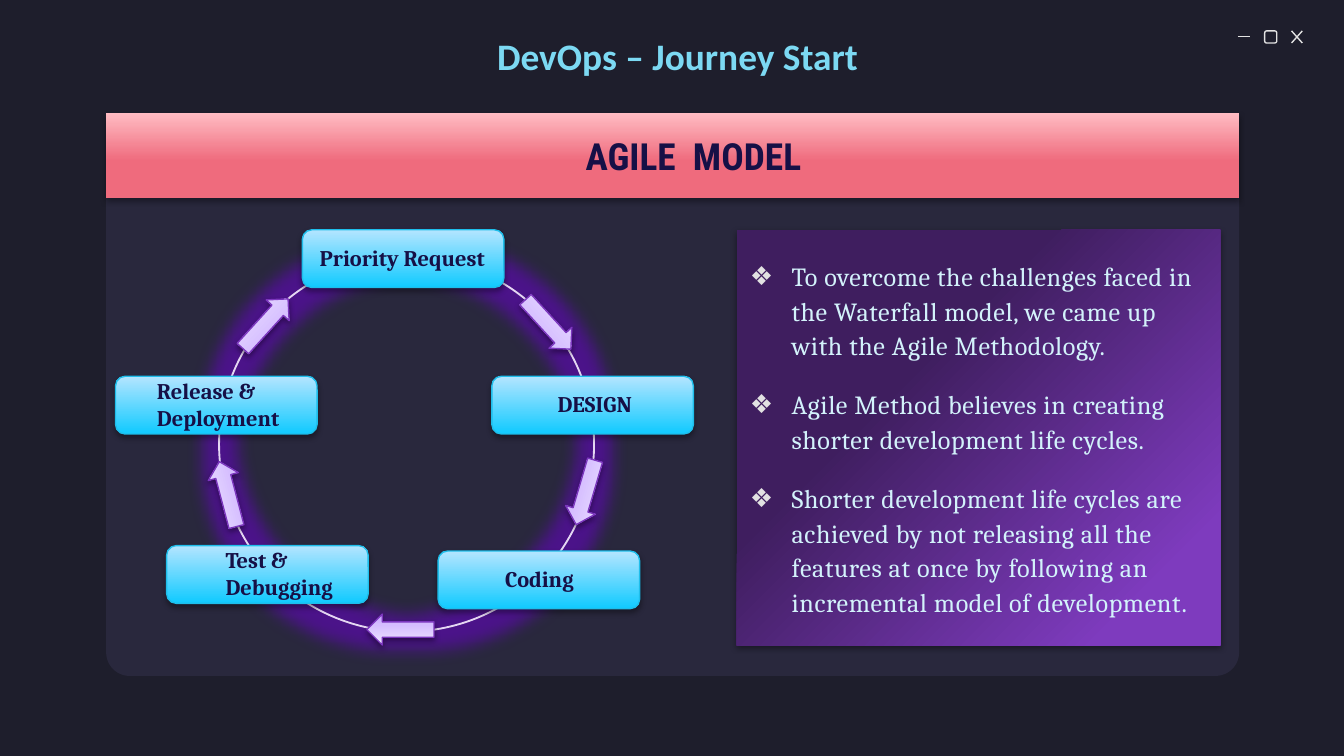
from math import cos, radians, sin

from lxml.etree import SubElement
from pptx import Presentation
from pptx.dml.color import RGBColor
from pptx.enum.shapes import MSO_CONNECTOR, MSO_SHAPE as SHAPE
from pptx.enum.text import MSO_ANCHOR, MSO_AUTO_SIZE, PP_ALIGN
from pptx.oxml import parse_xml
from pptx.oxml.ns import nsdecls, qn
from pptx.util import Inches, Pt

BACKGROUND = RGBColor(0x1E, 0x1E, 0x2C)
PANEL = RGBColor(0x29, 0x28, 0x3D)
GREY = RGBColor(0xE2, 0xE2, 0xE2)
NAVY = RGBColor(0x16, 0x10, 0x46)
SKY = RGBColor(0x7C, 0xD9, 0xF3)
ICE = RGBColor(0xD3, 0xF2, 0xFB)
RING = RGBColor(0xE5, 0xD7, 0xF3)
GLOW = RGBColor(0x4F, 0x11, 0x92)
NODE_EDGE = RGBColor(0x1E, 0xBE, 0xEB)
ARROW_EDGE = RGBColor(0x7B, 0x36, 0xBD)
BLACK = RGBColor(0, 0, 0)

# Gradient stops: (percent, colour)
BANNER_STOPS = [(43, RGBColor(0xEF, 0x6B, 0x7D)), (100, RGBColor(0xFF, 0xBC, 0xC3))]
BODY_STOPS = [(14, RGBColor(0x7E, 0x3B, 0xBE)), (65, RGBColor(0x3F, 0x1E, 0x5F))]
NODE_STOPS = [(0, RGBColor(0x10, 0xCA, 0xFF)), (100, RGBColor(0xB4, 0xE5, 0xFF))]
ARROW_STOPS = [(0, RGBColor(0xC4, 0xA2, 0xFF)), (35, RGBColor(0xD5, 0xBD, 0xFF)),
               (100, RGBColor(0xEF, 0xE6, 0xFF))]
UPWARD = '<a:lin ang="16200000" scaled="0"/>'
FROM_CORNER = '<a:path path="circle"><a:fillToRect l="100000" t="100000"/></a:path>'

# Content
HEADING = "DevOps – Journey Start"
BANNER = "AGILE  MODEL"
POINTS = [
    "To overcome the challenges faced in the Waterfall model, we came up with the Agile Methodology.",
    "Agile Method believes in creating shorter development life cycles.",
    "Shorter development life cycles are achieved by not releasing all the features "
    "at once by following an incremental model of development.",
]
# Phase, node left and top, label left and width
PHASES = [
    ("Priority Request", 2.25, 1.71, 2.28, 1.52),
    ("DESIGN", 3.66, 2.8, 4.05, 1.22),
    ("Coding", 3.26, 4.1, 3.66, 1.15),
    ("Test & Debugging", 1.24, 4.06, 1.58, 1.15),
    ("Release & Deployment", 0.86, 2.8, 1.07, 1.53),
]
# Arrow place on the ring and heading, in degrees clockwise from the top
ARROWS = [(49.8, 47.5), (105.1, 106.4), (181.9, 180), (254.4, 255.2), (310.5, 312.2)]

# Layout in inches
PANEL_X, PANEL_W = 0.79, 8.43
RING_X, RING_Y, RING_D = 1.63, 1.91, 2.79
NODE_W, NODE_H, LABEL_H = 1.5, 0.43, 0.68
ARROW_W, ARROW_H, ARROW_R = 0.5, 0.23, 1.38


def gradient(sp, stops, direction):
    sp.fill.solid()
    solid = sp._element.spPr.find(qn("a:solidFill"))
    gs = "".join(f'<a:gs pos="{pos * 1000}"><a:srgbClr val="{color}"/></a:gs>'
                 for pos, color in stops)
    solid.getparent().replace(solid, parse_xml(
        f'<a:gradFill {nsdecls("a")} rotWithShape="1"><a:gsLst>{gs}</a:gsLst>{direction}</a:gradFill>'))


def effect(sp, kind, color, alpha, **attrs):
    sp.shadow.inherit = False
    lst = sp._element.spPr.find(qn("a:effectLst"))
    node = SubElement(lst, qn(f"a:{kind}"), {k: str(v) for k, v in attrs.items()})
    clr = SubElement(node, qn("a:srgbClr"), val=str(color))
    SubElement(clr, qn("a:alpha"), val=str(alpha * 1000))


def drop_shadow(sp, alpha, dist):
    effect(sp, "outerShdw", BLACK, alpha, blurRad=Pt(3.1), dist=Pt(dist),
           dir=90 * 60000, rotWithShape=0)


def place(sp, x, y, w, h):
    sp.left, sp.top, sp.width, sp.height = (Inches(v) for v in (x, y, w, h))


def add_shape(shapes, kind, x, y, w, h, edge=None, weight=0.75):
    sp = shapes.add_shape(kind, *(Inches(v) for v in (x, y, w, h)))
    sp.fill.background()
    if edge is None:
        sp.line.fill.background()
    else:
        sp.line.color.rgb = edge
        sp.line.width = Pt(weight)
    sp.shadow.inherit = False
    return sp


def frame(sp):
    tf = sp.text_frame
    tf.word_wrap = True
    tf.auto_size = MSO_AUTO_SIZE.NONE
    tf.vertical_anchor = MSO_ANCHOR.MIDDLE
    tf.margin_left = tf.margin_right = tf.margin_top = tf.margin_bottom = Inches(0.1)
    return tf


def style(p, font, size, color, bold):
    for r in p.runs:
        r.font.name, r.font.size, r.font.bold = font, Pt(size), bold
        r.font.color.rgb = color


def add_label(shapes, text, box, font, size, color):
    sp = shapes.add_textbox(*(Inches(v) for v in box))
    tf = frame(sp)
    tf.text = text
    style(tf.paragraphs[0], font, size, color, True)


def add_window_buttons(shapes):
    group = shapes.add_group_shape().shapes
    for ends in [(9.21, 0.27, 9.3, 0.27), (9.61, 0.23, 9.69, 0.32), (9.69, 0.23, 9.61, 0.32)]:
        line = group.add_connector(MSO_CONNECTOR.STRAIGHT, *(Inches(v) for v in ends))
        line.line.color.rgb = GREY
        line.line.width = Pt(0.75)
        SubElement(line._element.spPr, qn("a:effectLst"))
    add_shape(group, SHAPE.ROUNDED_RECTANGLE, 9.41, 0.23, 0.09, 0.09, GREY)


prs = Presentation()
prs.slide_width, prs.slide_height = Inches(10), Inches(5.625)
s = prs.slides.add_slide(prs.slide_layouts[1])
s.background.fill.solid()
s.background.fill.fore_color.rgb = BACKGROUND
title, body = s.placeholders

# Panel behind everything, window buttons
panel = add_shape(s.shapes, SHAPE.ROUNDED_RECTANGLE, PANEL_X, 1.3, PANEL_W, 3.73)
panel.adjustments[0] = 0.047
panel.fill.solid()
panel.fill.fore_color.rgb = PANEL
s.shapes._spTree.insert(2, panel._element)
add_window_buttons(s.shapes)

# Banner: the left margin shifts the centred words slightly right
place(title, PANEL_X, 0.84, PANEL_W, 0.63)
gradient(title, BANNER_STOPS, UPWARD)
drop_shadow(title, 35, 1.8)
tf = frame(title)
tf.margin_left = Inches(0.41)
tf.text = BANNER
tf.paragraphs[0].alignment = PP_ALIGN.CENTER
style(tf.paragraphs[0], "Roboto Condensed", 20, NAVY, True)

# Bulleted points
place(body, 5.48, 1.71, 3.6, 3.09)
gradient(body, BODY_STOPS, FROM_CORNER)
drop_shadow(body, 38, 1.6)
tf = frame(body)
tf.text = "\n".join(POINTS)
for p in tf.paragraphs:
    p.line_spacing, p.space_before, p.space_after = 1.1, Pt(6), Pt(7.2)
    style(p, "Cambria", 14, ICE, False)
    for r in p.runs:
        r.font._element.set("spc", "30")
    pPr = p._p.get_or_add_pPr()
    pPr.set("marL", str(Inches(0.31)))
    pPr.set("indent", str(-Inches(0.31)))
    SubElement(SubElement(pPr, qn("a:buClr")), qn("a:srgbClr"), val=str(GREY))
    SubElement(pPr, qn("a:buChar"), char="❖")

# Heading
add_label(s.shapes, HEADING, (3.6, 0.07, 3.03, 0.68), "Calibri", 20, SKY)

# Cycle: ring, phase nodes with labels, arrows
ring = add_shape(s.shapes, SHAPE.OVAL, RING_X, RING_Y, RING_D, RING_D, RING, 1)
effect(ring, "glow", GLOW, 90, rad=Pt(18))

for text, x, y, label_x, label_w in PHASES:
    node = add_shape(s.shapes, SHAPE.ROUNDED_RECTANGLE, x, y, NODE_W, NODE_H, NODE_EDGE)
    gradient(node, NODE_STOPS, UPWARD)
    drop_shadow(node, 35, 1.8)
    label_y = y - (LABEL_H - NODE_H) / 2 - 0.01
    add_label(s.shapes, text, (label_x, label_y, label_w, LABEL_H), "Cambria", 12, NAVY)

for angle, rotation in ARROWS:
    cx = RING_X + RING_D / 2 + ARROW_R * sin(radians(angle))
    cy = RING_Y + RING_D / 2 - ARROW_R * cos(radians(angle))
    arrow = add_shape(s.shapes, SHAPE.RIGHT_ARROW, cx - ARROW_W / 2, cy - ARROW_H / 2,
                      ARROW_W, ARROW_H, ARROW_EDGE)
    arrow.rotation = rotation
    gradient(arrow, ARROW_STOPS, UPWARD)
    drop_shadow(arrow, 38, 1.6)

prs.save("out.pptx")
